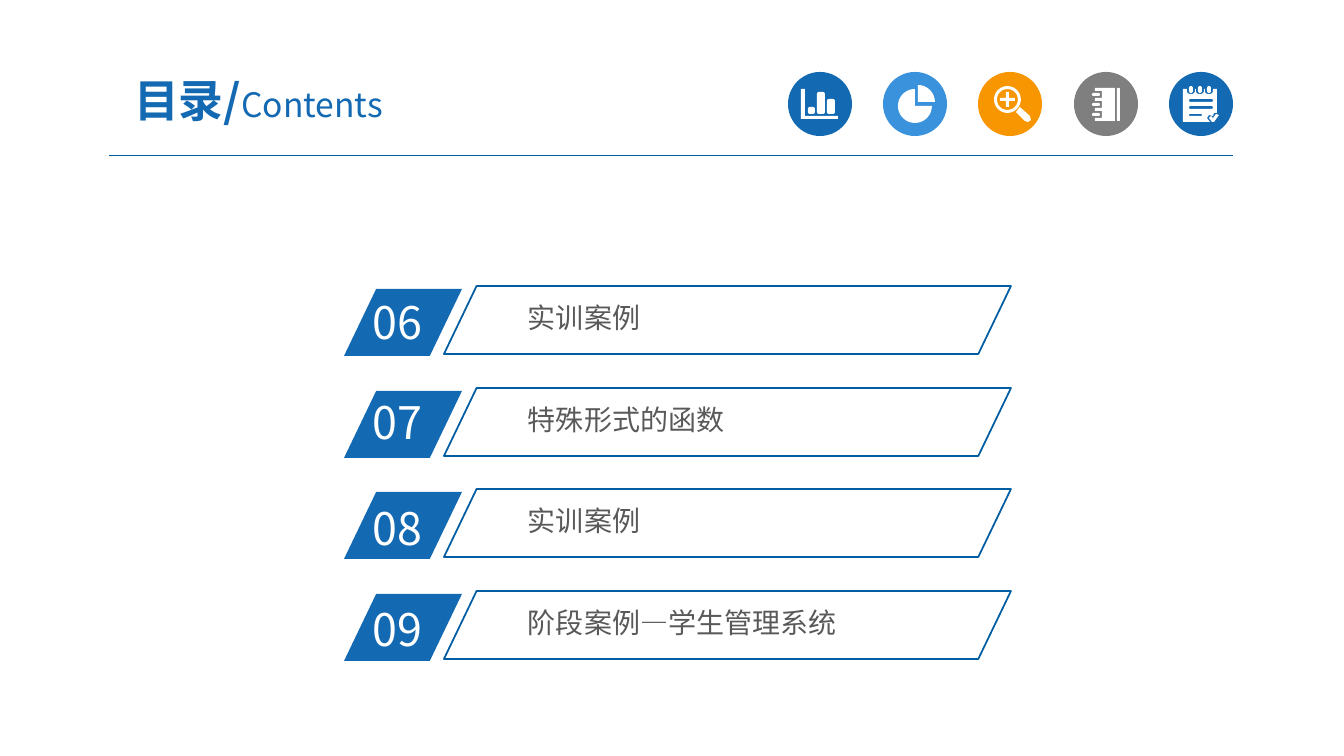
from math import cos, radians, sin

from lxml.etree import SubElement
from pptx import Presentation
from pptx.dml.color import RGBColor
from pptx.enum.shapes import MSO_CONNECTOR, MSO_SHAPE
from pptx.enum.text import MSO_ANCHOR, MSO_AUTO_SIZE, PP_ALIGN
from pptx.oxml.ns import qn
from pptx.util import Pt

PX = 914400 / 100.8
FONT = "Noto Sans CJK SC"
BLUE = RGBColor(0x13, 0x69, 0xB2)
LIGHT_BLUE = RGBColor(0x39, 0x92, 0xDB)
ORANGE = RGBColor(0xF7, 0x96, 0x00)
GRAY = RGBColor(0x7F, 0x7F, 0x7F)
RULE_BLUE = RGBColor(0x00, 0x5B, 0x9E)
FRAME_BLUE = RGBColor(0x00, 0x5D, 0xA2)
TEXT_GRAY = RGBColor(0x59, 0x59, 0x59)
WHITE = RGBColor(0xFF, 0xFF, 0xFF)


def add_run(paragraph, text, size, color, bold=False):
    run = paragraph.add_run()
    run.text = text
    run.font.size = Pt(size)
    run.font.bold = bold
    run.font.color.rgb = color
    run.font.name = FONT
    SubElement(run.font._element, qn("a:ea")).set("typeface", FONT)


def rounded_box(left, top, right, bottom, radius):
    """Return the outline points of a box with rounded corners."""
    corners = [
        (right - radius, bottom - radius, 0),
        (left + radius, bottom - radius, 90),
        (left + radius, top + radius, 180),
        (right - radius, top + radius, 270),
    ]
    return [
        (x + radius * cos(radians(start + step)), y + radius * sin(radians(start + step)))
        for x, y, start in corners
        for step in range(0, 91, 15)
    ]


presentation = Presentation()
presentation.slide_width = round(1344 * PX)
presentation.slide_height = round(756 * PX)
slide = presentation.slides.add_slide(presentation.slide_layouts[5])
shapes = slide.shapes

# Heading
title = shapes.title
title.left, title.top, title.width, title.height = [round(v * PX) for v in (93, 64, 331, 72)]
frame = title.text_frame
frame.auto_size = MSO_AUTO_SIZE.NONE
frame.word_wrap = True
frame.vertical_anchor = MSO_ANCHOR.MIDDLE
frame.margin_left = frame.margin_right = round(13 * PX)
frame.margin_top = frame.margin_bottom = round(7 * PX)
paragraph = frame.paragraphs[0]
paragraph.alignment = PP_ALIGN.CENTER
add_run(paragraph, "目录/", 32, BLUE, bold=True)
add_run(paragraph, "Contents", 24, BLUE)

rule = shapes.add_connector(
    MSO_CONNECTOR.STRAIGHT, *[round(v * PX) for v in (109, 156, 1233, 156)]
)
rule.line.color.rgb = RULE_BLUE
rule.line.width = Pt(0.75)
SubElement(rule._element.spPr, qn("a:effectLst"))

# Icon outlines
bar_chart = [
    [(801, 89), (805, 89), (805, 116), (838, 116), (838, 119), (801, 119)],
    rounded_box(808, 107, 815, 114, 2),
    rounded_box(817, 92, 825, 114, 2),
    rounded_box(827, 99, 835, 114, 2),
]
pie_chart = [
    [(x, y)] + [
        (x + 17 * cos(radians(angle)), y + 17 * sin(radians(angle)))
        for angle in range(start, end + 1, 10)
    ]
    for x, y, start, end in [(918, 102, 270, 360), (915, 106, 0, 270)]
]
magnifier = [
    rounded_box(994, 86, 1021, 113, 13.5),
    rounded_box(997, 89, 1018, 110, 10.5),
    [(1016, 112), (1020, 107), (1030, 116), (1031, 120), (1028, 122), (1025, 121)],
    [(1000, 98), (1006, 98), (1006, 92), (1009, 92), (1009, 98), (1015, 98),
     (1015, 101), (1009, 101), (1009, 107), (1006, 107), (1006, 101), (1000, 101)],
]
ring_tops = (91, 101, 111)
notebook_cover = [(1115, 121), (1115, 88), (1095, 88)]
for top in ring_tops:
    notebook_cover += [(1095, top), (1102, top), (1102, top + 7), (1095, top + 7)]
notebook_cover.append((1095, 121))
notebook = [notebook_cover, rounded_box(1117, 88, 1120, 121, 1)]
notebook += [rounded_box(1092, top + 2, 1100, top + 5, 1.5) for top in ring_tops]

loop_centers = (1191, 1200, 1209)
notepad_page = [(1183, 122), (1183, 89)]
for x in loop_centers:
    notepad_page += [(x - 4, 89), (x - 4, 92), (x - 2, 94), (x + 2, 94), (x + 4, 92), (x + 4, 89)]
notepad_page += [(1217, 89), (1217, 113), (1214, 113), (1213, 116), (1209, 115),
                 (1207, 118), (1210, 122)]
notepad = [
    notepad_page,
    rounded_box(1189, 99, 1213, 102, 1.5),
    rounded_box(1189, 106, 1213, 109, 1.5),
    rounded_box(1189, 114, 1202, 116, 1),
    [(1209, 118), (1211, 116), (1213, 118), (1216, 114), (1219, 115), (1214, 122), (1212, 122)],
]
notepad += [rounded_box(x - 2, 86, x + 2, 93, 2) for x in loop_centers]

icons = [
    (BLUE, bar_chart),
    (LIGHT_BLUE, pie_chart),
    (ORANGE, magnifier),
    (GRAY, notebook),
    (BLUE, notepad),
]
for index, (color, contours) in enumerate(icons):
    disc = shapes.add_shape(
        MSO_SHAPE.OVAL, *[round(v * PX) for v in (788 + round(95.25 * index), 72, 64, 64)]
    )
    # Outlines are drawn in tenths of a px so that curves stay smooth
    fine_contours = [[(round(10 * x), round(10 * y)) for x, y in points] for points in contours]
    builder = shapes.build_freeform(*fine_contours[0][0], scale=PX / 10)
    for number, points in enumerate(fine_contours):
        if number:
            builder.move_to(*points[0])
        builder.add_line_segments(points[1:], close=True)
    symbol = builder.convert_to_shape()
    for shape, fill in [(disc, color), (symbol, WHITE)]:
        shape.shadow.inherit = False
        shape.fill.solid()
        shape.fill.fore_color.rgb = fill
        shape.line.fill.background()

# Contents rows
rows = [
    ("06", 290, "实训案例"),
    ("07", 390, "特殊形式的函数"),
    ("08", 496, "实训案例"),
    ("09", 597, "阶段案例—学生管理系统"),
]
for index, (number, number_top, label) in enumerate(rows):
    top = 289 + round(305 * index / 3)
    badge, outline = [
        shapes.add_shape(MSO_SHAPE.PARALLELOGRAM, *[round(v * PX) for v in box])
        for box in [(344, top, 118, 67), (444, top - 3, 567, 68)]
    ]
    for shape in (badge, outline):
        shape.adjustments[0] = 0.48
        shape.shadow.inherit = False
    badge.fill.solid()
    badge.fill.fore_color.rgb = BLUE
    badge.line.fill.background()
    outline.fill.background()
    outline.line.color.rgb = FRAME_BLUE
    outline.line.width = Pt(1.25)

    for text, box, margins, size, color in [
        (number, (363, number_top, 113, 65), (10, 5), 32, WHITE),
        (label, (521, top + 7, 415, 41), (7, 4), 20, TEXT_GRAY),
    ]:
        frame = shapes.add_textbox(*[round(v * PX) for v in box]).text_frame
        frame.word_wrap = True
        frame.margin_left = frame.margin_right = round(margins[0] * PX)
        frame.margin_top = frame.margin_bottom = round(margins[1] * PX)
        add_run(frame.paragraphs[0], text, size, color)

presentation.save("out.pptx")
